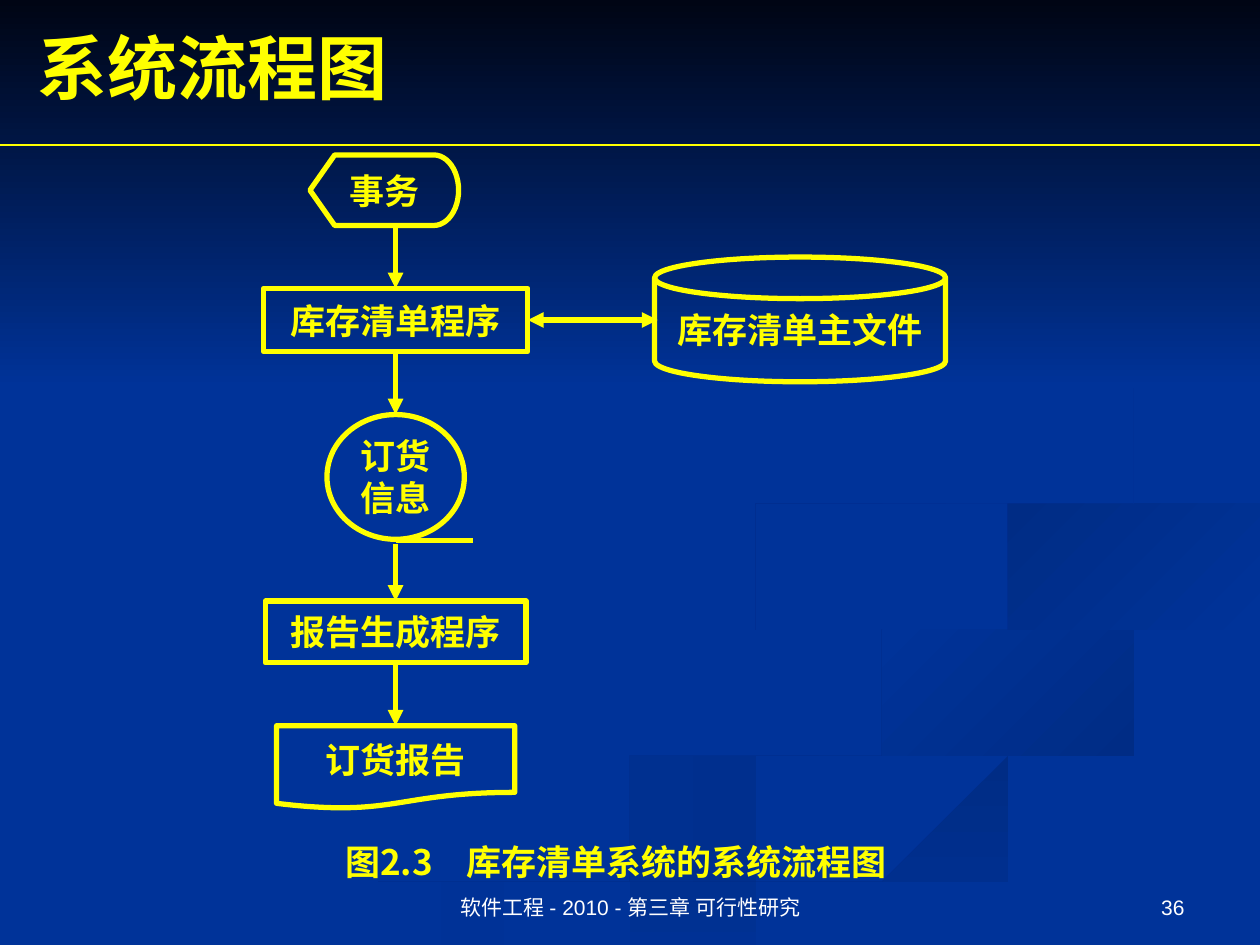
from dataclasses import dataclass

from lxml import etree
from pptx import Presentation
from pptx.dml.color import RGBColor
from pptx.enum.shapes import MSO_CONNECTOR, MSO_SHAPE
from pptx.enum.text import MSO_ANCHOR, PP_ALIGN
from pptx.oxml.ns import qn
from pptx.util import Cm, Pt

STRAIGHT = MSO_CONNECTOR.STRAIGHT
LEFT, CENTER, RIGHT = PP_ALIGN.LEFT, PP_ALIGN.CENTER, PP_ALIGN.RIGHT
MIDDLE, BOTTOM = MSO_ANCHOR.MIDDLE, MSO_ANCHOR.BOTTOM
TOP_SIDE, BOTTOM_SIDE, RIGHT_SIDE = 0, 2, 3


@dataclass(frozen=True)
class Theme:
    background: str = "003399"
    night: str = "000514"
    shade: str = "002C85"
    accent: str = "FFFF00"
    footer: str = "FFFFFF"
    serif: str = "Times New Roman"
    sans: str = "Arial"
    chinese: str = "Noto Sans CJK SC"
    title_size: float = 40
    label_size: float = 20
    footer_size: float = 12
    thick: float = 3
    thin: float = 0.75


THEME = Theme()

# All positions below are in inches.
WIDTH, HEIGHT = 10, 7.5
BAND_HEIGHT = 3.08
RULE_TOP = 1.15
TITLE = ("系统流程图", (0.2, 0.14, 9, 0.77))
CAPTION = ("图2.3\t库存清单系统的系统流程图", (2.64, 6.59, 4.91, 0.5))
CAPTION_TAB = 0.96
FOOTERS = [
    ("软件工程 - 2010 - 第三章 可行性研究", (3.42, 6.83, 3.17, 0.52), CENTER),
    ("36", (7.17, 6.83, 2.33, 0.52), RIGHT),
]

# key: text, preset, horizontal centre, top, width, height
AXIS = 3.14
NODES = {
    "transaction": ("事务", MSO_SHAPE.FLOWCHART_DISPLAY, 3.05, 1.23, 1.18, 0.56),
    "inventory": ("库存清单程序", MSO_SHAPE.RECTANGLE, AXIS, 2.29, 2.1, 0.5),
    "order_tape": ("订货信息", MSO_SHAPE.OVAL, AXIS, 3.29, 1.09, 0.99),
    "report_program": ("报告生成程序", MSO_SHAPE.RECTANGLE, AXIS, 4.77, 2.07, 0.49),
    "master_file": ("库存清单主文件", MSO_SHAPE.FLOWCHART_MAGNETIC_DISK, 6.35, 2.04, 2.31, 0.99),
    "order_report": ("订货报告", MSO_SHAPE.FLOWCHART_DOCUMENT, AXIS, 5.76, 1.89, 0.66),
}

# start and end: a point, or a node with its side; then the ends with arrowheads
FLOWS = [
    ((AXIS, 1.79), ("inventory", TOP_SIDE), ["tailEnd"]),
    (("inventory", BOTTOM_SIDE), ("order_tape", TOP_SIDE), ["tailEnd"]),
    ((AXIS, 4.29), (3.75, 4.29), []),
    ((AXIS, 4.32), ("report_program", TOP_SIDE), ["tailEnd"]),
    (("report_program", BOTTOM_SIDE), ("order_report", TOP_SIDE), ["tailEnd"]),
    (("inventory", RIGHT_SIDE), (5.22, 2.54), ["headEnd", "tailEnd"]),
]

# first colour, last colour, clockwise angle, points that a smooth outline passes
RIBBONS = [
    (THEME.shade, THEME.background, 180, [
        (5.72, 4.64), (6.02, 4.95), (7.4, 5.39), (7.86, 5.66), (7.3, 6.01), (5.4, 6.49),
        (3, 7.5), (3.6, 7.5), (5.64, 6.65), (7.8, 6.05), (7.95, 5.67), (7.15, 5.28)]),
    (THEME.shade, THEME.background, 225, [
        (7.24, 4.64), (7.66, 5.12), (8.92, 5.53), (9.18, 5.81), (8.94, 6.05),
        (9.41, 5.81), (9.19, 5.47), (7.92, 5.09)]),
    (THEME.shade, THEME.background, 90, [
        (5.03, 7.5), (5.7, 7.5), (7.5, 6.72), (10, 6.09), (10, 5.81), (7.64, 6.47)]),
    (THEME.background, THEME.shade, 225, [
        (7.81, 4.6), (8.26, 4.96), (8.05, 4.72), (8.43, 4.48), (10, 4.2), (10, 4.02),
        (8.35, 4.3)]),
    (THEME.background, THEME.shade, 225, [
        (8.8, 3.07), (8.89, 3.35), (8.52, 3.74), (6.49, 4.2), (5.77, 4.62), (6.22, 5),
        (5.93, 4.7), (6.49, 4.36), (8.25, 4.02), (8.94, 3.44)]),
]


def inches(value):
    return Cm(value * 2.54)


def color(value):
    return RGBColor.from_string(value)


def smooth(points, steps=6):
    """Return a closed Catmull-Rom curve through the points, kept on the slide."""
    def blend(a, b, c, d, t):
        return b + t / 2 * (c - a + t * (2 * a - 5 * b + 4 * c - d + t * (3 * (b - c) + d - a)))

    curve = []
    for index in range(len(points)):
        corners = [points[(index + shift) % len(points)] for shift in (-1, 0, 1, 2)]
        for step in range(steps):
            x, y = (blend(*values, step / steps) for values in zip(*corners))
            curve.append((min(x, WIDTH), min(y, HEIGHT)))
    return curve


def write(shape, text, size=THEME.label_size, font=THEME.serif, ink=THEME.accent,
          bold=True, align=CENTER, anchor=MIDDLE, inset=0.1, tab=None):
    frame = shape.text_frame
    frame.word_wrap = True
    frame.vertical_anchor = anchor
    frame.margin_left = frame.margin_right = inches(inset)
    frame.margin_top = frame.margin_bottom = inches(0.05)
    paragraph = frame.paragraphs[0]
    paragraph.alignment = align
    if tab:
        tabs = etree.SubElement(paragraph._p.get_or_add_pPr(), qn("a:tabLst"))
        etree.SubElement(tabs, qn("a:tab"), pos=str(inches(tab)), algn="l")
    run = paragraph.add_run()
    run.text = text
    run.font.size, run.font.bold, run.font.name = Pt(size), bold, font
    run.font.color.rgb = color(ink)
    etree.SubElement(run._r.get_or_add_rPr(), qn("a:ea"), typeface=THEME.chinese)


def add_text(slide, text, box, **text_format):
    write(slide.shapes.add_textbox(*map(inches, box)), text, **text_format)


def fill_gradient(shape, first, last, angle):
    shape.shadow.inherit = False
    shape.line.fill.background()
    shape.fill.gradient()
    shape.fill.gradient_angle = 360 - angle
    for stop, value in zip(shape.fill.gradient_stops, (first, last)):
        stop.color.rgb = color(value)


def add_backdrop(slide):
    for first, last, angle, points in RIBBONS:
        outline = smooth(points)
        builder = slide.shapes.build_freeform(*outline[0], scale=float(inches(1)))
        builder.add_line_segments(outline[1:], close=True)
        fill_gradient(builder.convert_to_shape(), first, last, angle)
    band = slide.shapes.add_shape(MSO_SHAPE.RECTANGLE, 0, 0, inches(WIDTH), inches(BAND_HEIGHT))
    fill_gradient(band, THEME.night, THEME.background, 90)


def add_title(slide, text, box):
    title = slide.shapes.title
    title.left, title.top, title.width, title.height = map(inches, box)
    write(title, text, size=THEME.title_size, align=LEFT)
    slide.shapes._spTree.append(title._element)  # in front of the backdrop


def add_node(slide, text, preset, center, top, width, height):
    box = (center - width / 2, top, width, height)
    shape = slide.shapes.add_shape(preset, *map(inches, box))
    shape.shadow.inherit = False
    shape.fill.background()
    shape.line.color.rgb = color(THEME.accent)
    shape.line.width = Pt(THEME.thick)
    write(shape, text, inset=0.05)
    return shape


def add_line(slide, start, end, nodes, arrowheads=(), width=THEME.thick):
    """Draw a line whose ends are points or (node, side) pairs."""
    points = [(0, 0) if stop[0] in nodes else stop for stop in (start, end)]
    line = slide.shapes.add_connector(STRAIGHT, *[inches(v) for point in points for v in point])
    for stop, connect in ((start, line.begin_connect), (end, line.end_connect)):
        if stop[0] in nodes:
            connect(nodes[stop[0]], stop[1])
    line.line.color.rgb = color(THEME.accent)
    line.line.width = Pt(width)
    for name in arrowheads:
        etree.SubElement(line.line._get_or_add_ln(), qn("a:" + name), type="triangle")
    etree.SubElement(line._element.spPr, qn("a:effectLst"))


def main():
    presentation = Presentation()
    presentation.slide_width, presentation.slide_height = inches(WIDTH), inches(HEIGHT)
    slide = presentation.slides.add_slide(presentation.slide_layouts[5])
    slide.background.fill.solid()
    slide.background.fill.fore_color.rgb = color(THEME.background)
    add_backdrop(slide)
    add_title(slide, *TITLE)
    add_line(slide, (0, RULE_TOP), (WIDTH, RULE_TOP), {}, width=THEME.thin)
    nodes = {key: add_node(slide, *node) for key, node in NODES.items()}
    for start, end, arrowheads in FLOWS:
        add_line(slide, start, end, nodes, arrowheads)
    add_text(slide, *CAPTION, font=THEME.chinese, align=LEFT, tab=CAPTION_TAB)
    for text, box, align in FOOTERS:
        add_text(slide, text, box, size=THEME.footer_size, font=THEME.sans,
                 ink=THEME.footer, bold=False, align=align, anchor=BOTTOM)
    presentation.save("out.pptx")


if __name__ == "__main__":
    main()
